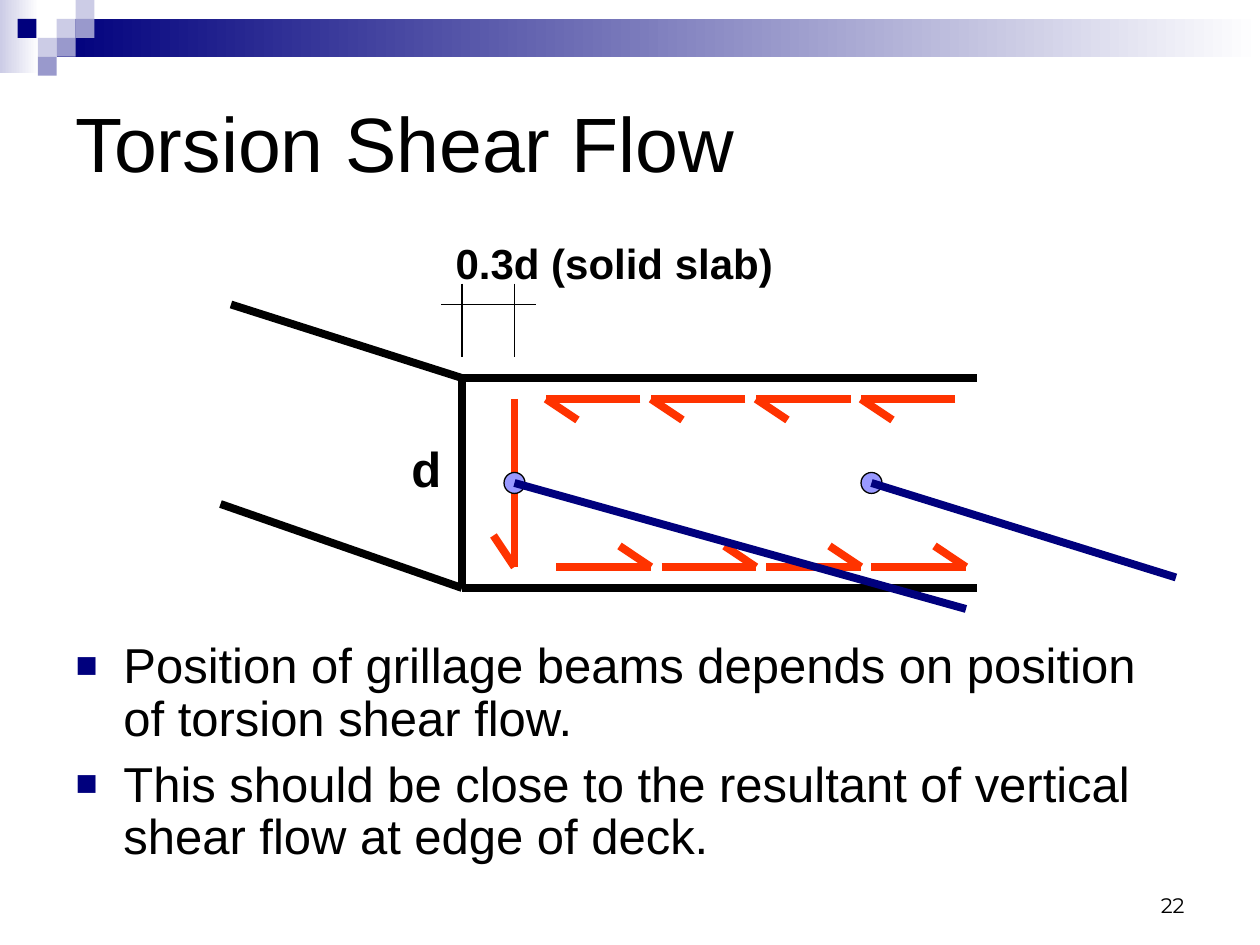
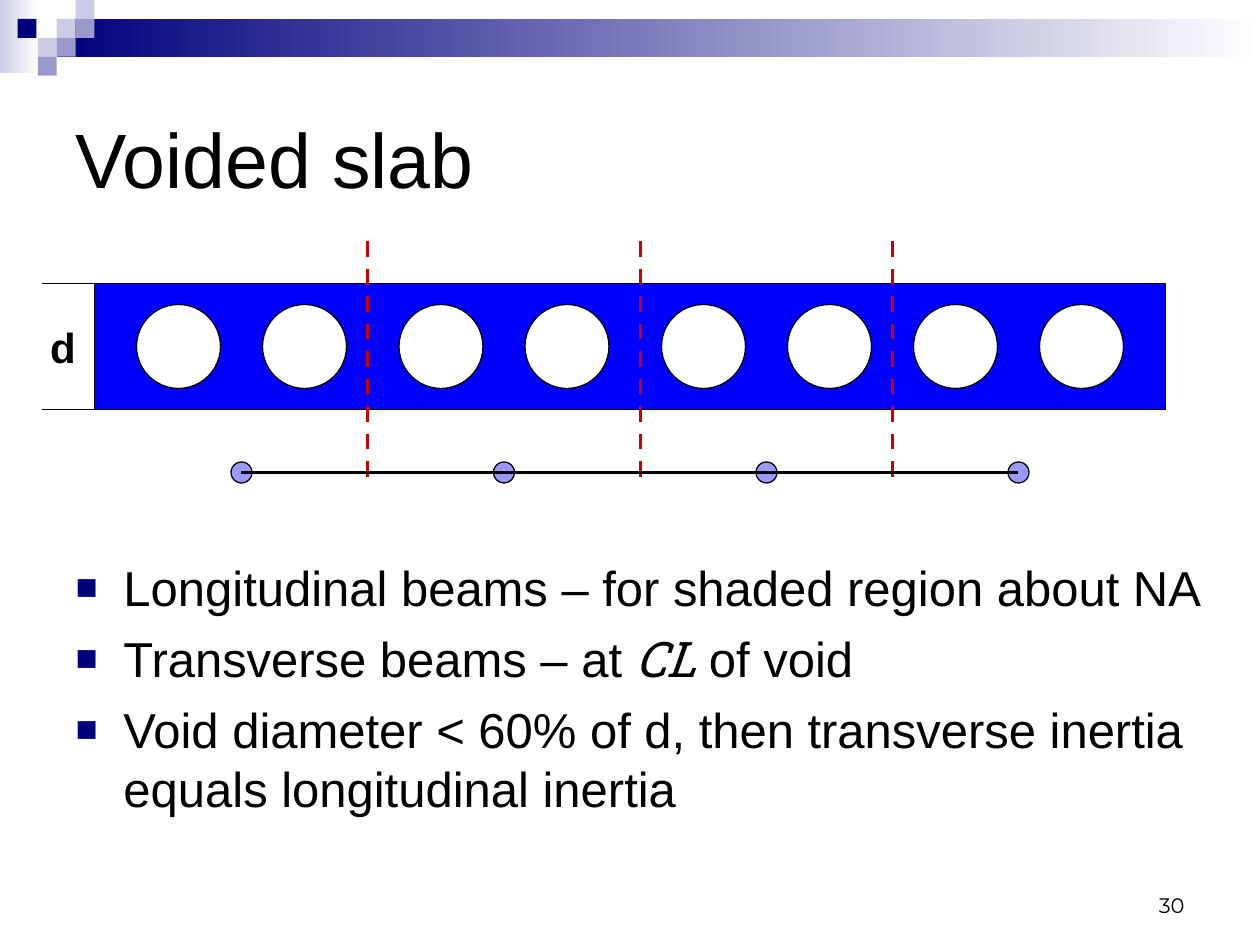
"""Build two bridge-deck grillage slides on a grid of 120 columns by 90 rows."""
from typing import Any, NamedTuple

from lxml.etree import SubElement
from pptx import Presentation
from pptx.dml.color import RGBColor
from pptx.enum.dml import MSO_LINE
from pptx.enum.shapes import MSO_CONNECTOR as Link, MSO_SHAPE as Preset
from pptx.enum.text import MSO_ANCHOR as Anchor, MSO_AUTO_SIZE as AutoSize, PP_ALIGN as Align
from pptx.oxml.ns import qn
from pptx.util import Inches, Pt

CELL = Inches(10) / 120
SQUARE = 1.8
FONT = "Arial"
BLACK, WHITE, NAVY = "000000", "FFFFFF", "00007D"
PALE, LILAC, NODE = "CCCCE6", "9999CC", "9999FF"
SLAB_BLUE, SHEAR_RED, CUT_RED = "0000FF", "FF3300", "CC0000"
THIN, MEDIUM, THICK = 0.75, 2.25, 4.5


class Spot(NamedTuple):
    column: float
    row: float


class Area(NamedTuple):
    column: float
    row: float
    columns: float
    rows: float


class Span(NamedTuple):
    text: str
    font: str = FONT
    italic: bool = False


class Square(NamedTuple):
    column: float
    row: float
    tone: str


SQUARES = [
    Square(3, 1, PALE), Square(4, 0, PALE), Square(4, 1, LILAC), Square(2, 2, PALE),
    Square(0.93, 1, NAVY), Square(3, 2, LILAC), Square(2, 3, LILAC),
]
FADES = [(Area(0, 0, 3.7, 7), PALE), (Area(5.4, SQUARE, 114.6, 2 * SQUARE), NAVY)]
NUMBER_AREA = Area(86, 82, 28, 6)


def color(code: str) -> RGBColor:
    return RGBColor.from_string(code)


def emu(cells: float) -> int:
    return round(cells * CELL)


def apply(target: Any, **formats: Any) -> None:
    for name, value in formats.items():
        setattr(target, name, value)


def place(box: Any, area: Area) -> None:
    names = ("left", "top", "width", "height")
    apply(box, **dict(zip(names, map(emu, area))))


def add_span(para: Any, span: Span, size: float, bold: bool = False) -> None:
    run = para.add_run()
    run.text = span.text
    apply(run.font, name=span.font, size=Pt(size), bold=bold, italic=span.italic)
    run.font.color.rgb = color(BLACK)


def add_shape(page: Any, preset: Preset, area: Area, tone: str, outlined: bool = True) -> Any:
    shape = page.shapes.add_shape(preset, *map(emu, area))
    shape.shadow.inherit = False
    shape.fill.solid()
    shape.fill.fore_color.rgb = color(tone)
    if outlined:
        shape.line.color.rgb = color(BLACK)
        shape.line.width = Pt(THIN)
    else:
        shape.line.fill.background()
    return shape


def add_line(page: Any, start: Spot, end: Spot, tone: str = BLACK,
             width: float = THIN, dash: Any = None) -> None:
    line = page.shapes.add_connector(Link.STRAIGHT, *map(emu, start + end))
    SubElement(line._element.spPr, qn("a:effectLst"))
    line.line.color.rgb = color(tone)
    apply(line.line, width=Pt(width), dash_style=dash)


def add_shear_arrow(page: Any, tip: Spot, tail: Spot, barb: Spot) -> None:
    for start in (tail, barb):
        add_line(page, start, tip, SHEAR_RED, THICK)


def add_node(page: Any, center: Spot) -> None:
    add_shape(page, Preset.OVAL, Area(center.column - 1, center.row - 1, 2, 2), NODE)


def add_label(page: Any, area: Area, text: str, size: float, align: Align = Align.LEFT,
              anchor: Anchor = Anchor.TOP, font: str = FONT, bold: bool = True) -> None:
    frame = page.shapes.add_textbox(*map(emu, area)).text_frame
    apply(frame, word_wrap=True, vertical_anchor=anchor)
    para = frame.paragraphs[0]
    para.alignment = align
    add_span(para, Span(text, font), size, bold)


def add_bullet(para: Any) -> None:
    props = para._p.get_or_add_pPr()
    apply_indent = {"marL": Inches(0.38), "indent": -Inches(0.38)}
    for name, value in apply_indent.items():
        props.set(name, str(value))
    SubElement(SubElement(props, qn("a:buClr")), qn("a:srgbClr")).set("val", NAVY)
    SubElement(props, qn("a:buSzPct")).set("val", "75000")
    SubElement(props, qn("a:buFont")).set("typeface", FONT)
    SubElement(props, qn("a:buChar")).set("char", "■")


def add_bands(page: Any) -> None:
    for area, tone in FADES:
        fill = add_shape(page, Preset.RECTANGLE, area, tone, False).fill
        fill.gradient()
        fill.gradient_angle = 180
        for stop, stop_tone in zip(fill.gradient_stops, (WHITE, tone)):
            stop.color.rgb = color(stop_tone)
    for square in SQUARES:
        area = Area(square.column * SQUARE, square.row * SQUARE, SQUARE, SQUARE)
        add_shape(page, Preset.RECTANGLE, area, square.tone, False)


def add_page(deck: Any, title: str, title_rows: float, body_area: Area,
             bullets: list[list[Span]], line_spacing: float, number: str) -> Any:
    page = deck.slides.add_slide(deck.slide_layouts[1])
    add_bands(page)
    heading, body = page.placeholders
    place(heading, Area(6, 6, 108, title_rows))
    apply(heading.text_frame, vertical_anchor=Anchor.MIDDLE, auto_size=AutoSize.NONE)
    para = heading.text_frame.paragraphs[0]
    para.alignment = Align.LEFT
    add_span(para, Span(title), 44)
    place(body, body_area)
    frame = body.text_frame
    apply(frame, vertical_anchor=Anchor.TOP, auto_size=AutoSize.NONE)
    for index, spans in enumerate(bullets):
        para = frame.add_paragraph() if index else frame.paragraphs[0]
        add_bullet(para)
        apply(para, line_spacing=line_spacing, space_before=Pt(7 if index else 0))
        for span in spans:
            add_span(para, span, 28)
    add_label(page, NUMBER_AREA, number, 12, Align.RIGHT, Anchor.BOTTOM, "Montserrat", False)
    return page


def build_shear_flow(deck: Any) -> None:
    bullets = [
        [Span("Position of grillage beams depends on position of torsion shear flow.")],
        [Span("This should be close to the resultant of vertical shear flow at edge of deck.")],
    ]
    page = add_page(deck, "Torsion Shear Flow", 15, Area(6, 60.5, 108, 24.5), bullets, 0.9, "22")
    top, bottom = Spot(44, 36), Spot(44, 56)
    edges = [(top, Spot(93, 36)), (top, bottom), (bottom, Spot(93, 56)),
             (top, Spot(22, 29)), (bottom, Spot(21, 48))]
    for start, end in edges:
        add_line(page, start, end, BLACK, THICK)
    for step in range(0, 40, 10):
        left, right = 52 + step, 62 + step
        add_shear_arrow(page, Spot(left, 38), Spot(left + 9, 38), Spot(left + 3, 40))
        add_shear_arrow(page, Spot(right, 54), Spot(right - 9, 54), Spot(right - 3, 52))
    add_shear_arrow(page, Spot(49, 54), Spot(49, 38), Spot(47, 51))
    for column in (44, 49):
        add_line(page, Spot(column, 27), Spot(column, 34))
    add_line(page, Spot(42, 29), Spot(51, 29))
    add_label(page, Area(42, 22, 33, 6), "0.3d (solid slab)", 24, Align.CENTER)
    add_label(page, Area(38, 41.2, 8, 6.8), "d", 28)
    for node, end in ((Spot(49, 46), Spot(92, 58)), (Spot(83, 46), Spot(112, 55))):
        add_node(page, node)
        add_line(page, node, end, NAVY, THICK)


def build_voided_slab(deck: Any) -> None:
    bullets = [
        [Span("Longitudinal beams – for shaded region about NA")],
        [Span("Transverse beams – at "), Span("CL", "Roboto Slab", True), Span(" of void")],
        [Span("Void diameter < 60% of d, then transverse inertia equals longitudinal inertia")],
    ]
    page = add_page(deck, "Voided slab", 18, Area(6, 52.5, 110, 28.5), bullets, 1.0, "30")
    add_shape(page, Preset.RECTANGLE, Area(9, 27, 102, 12), SLAB_BLUE)
    beams = [Spot(column, 45) for column in (23, 48, 73, 97)]
    for beam in beams:
        for offset in (-10, 2):
            add_shape(page, Preset.OVAL, Area(beam.column + offset, 29, 8, 8), WHITE)
    for column in (35, 61, 85):
        add_line(page, Spot(column, 23), Spot(column, 46), CUT_RED, MEDIUM, MSO_LINE.DASH)
    for beam in beams:
        add_node(page, beam)
    add_line(page, beams[0], beams[-1], BLACK, MEDIUM)
    for row in (27, 39):
        add_line(page, Spot(4, row), Spot(9, row))
    add_label(page, Area(3, 30, 6, 6), "d", 24, Align.CENTER)


def main() -> None:
    deck = Presentation()
    apply(deck, slide_width=emu(120), slide_height=emu(90))
    build_shear_flow(deck)
    build_voided_slab(deck)
    deck.save("out.pptx")


if __name__ == "__main__":
    main()
